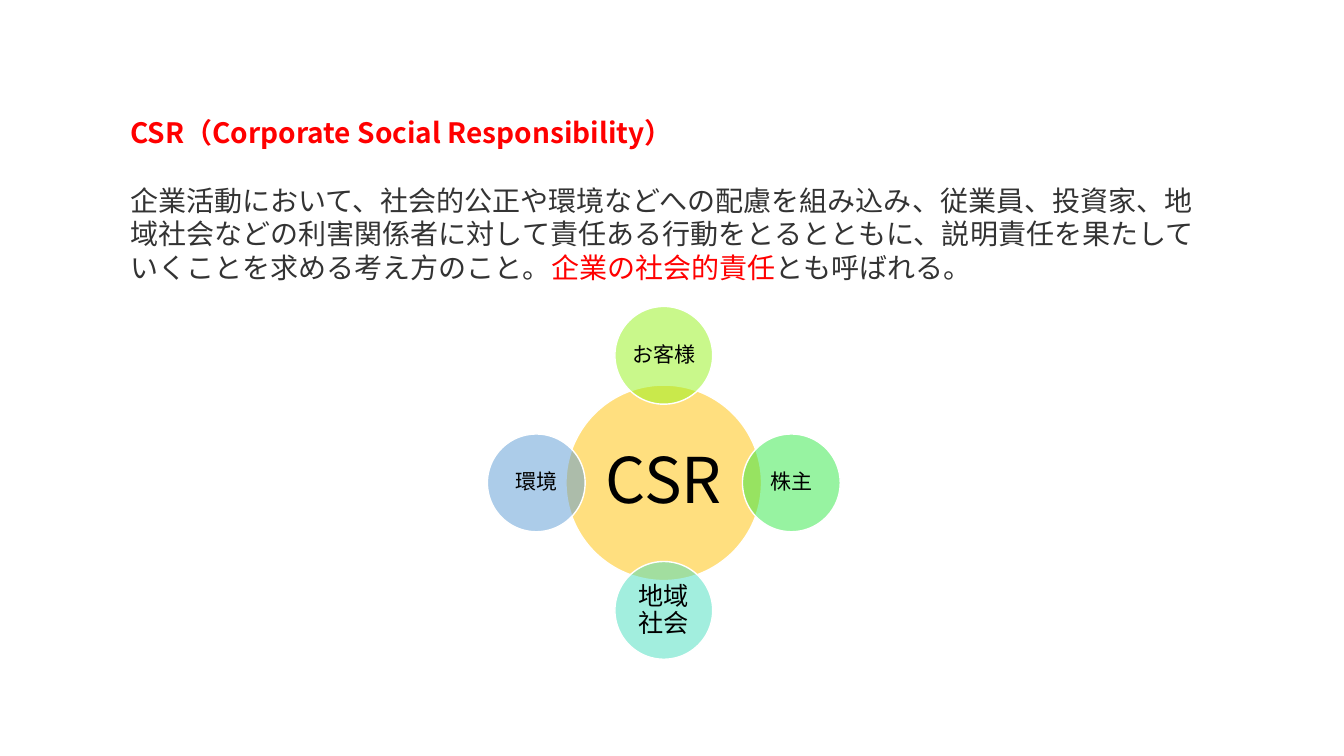
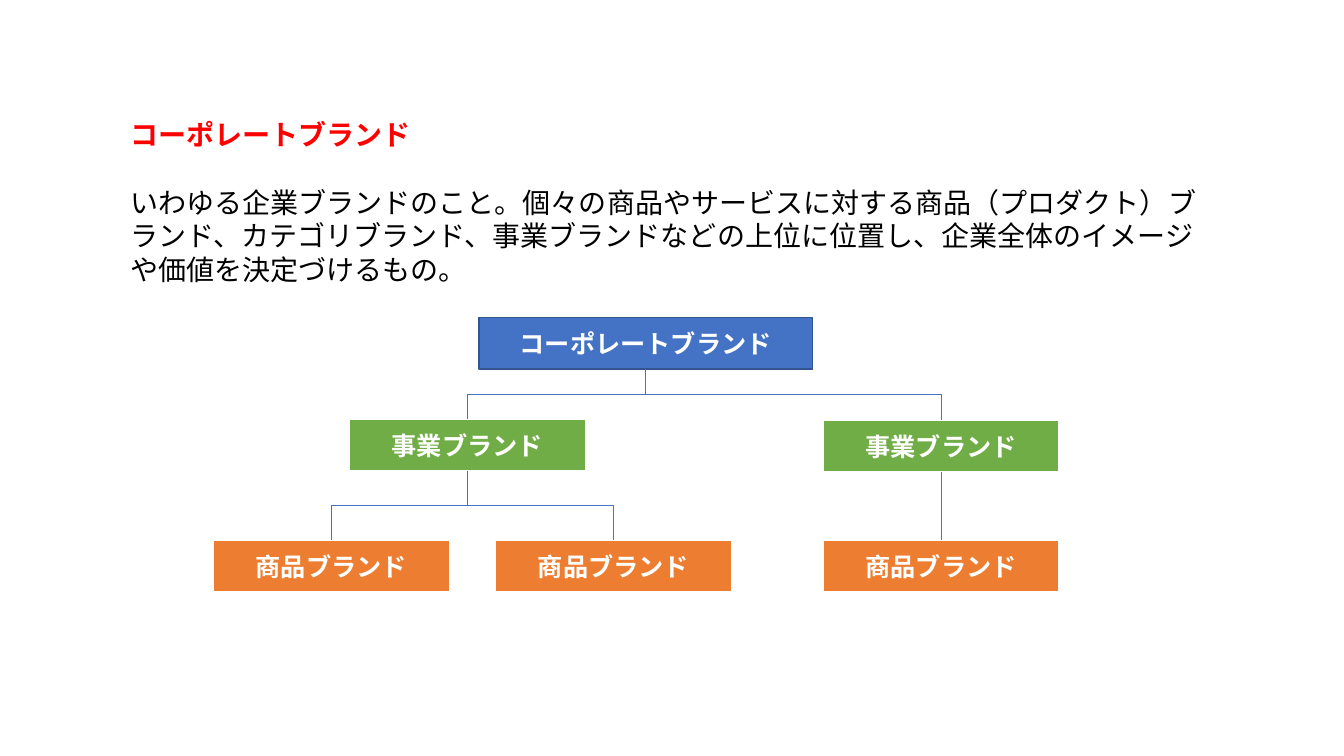
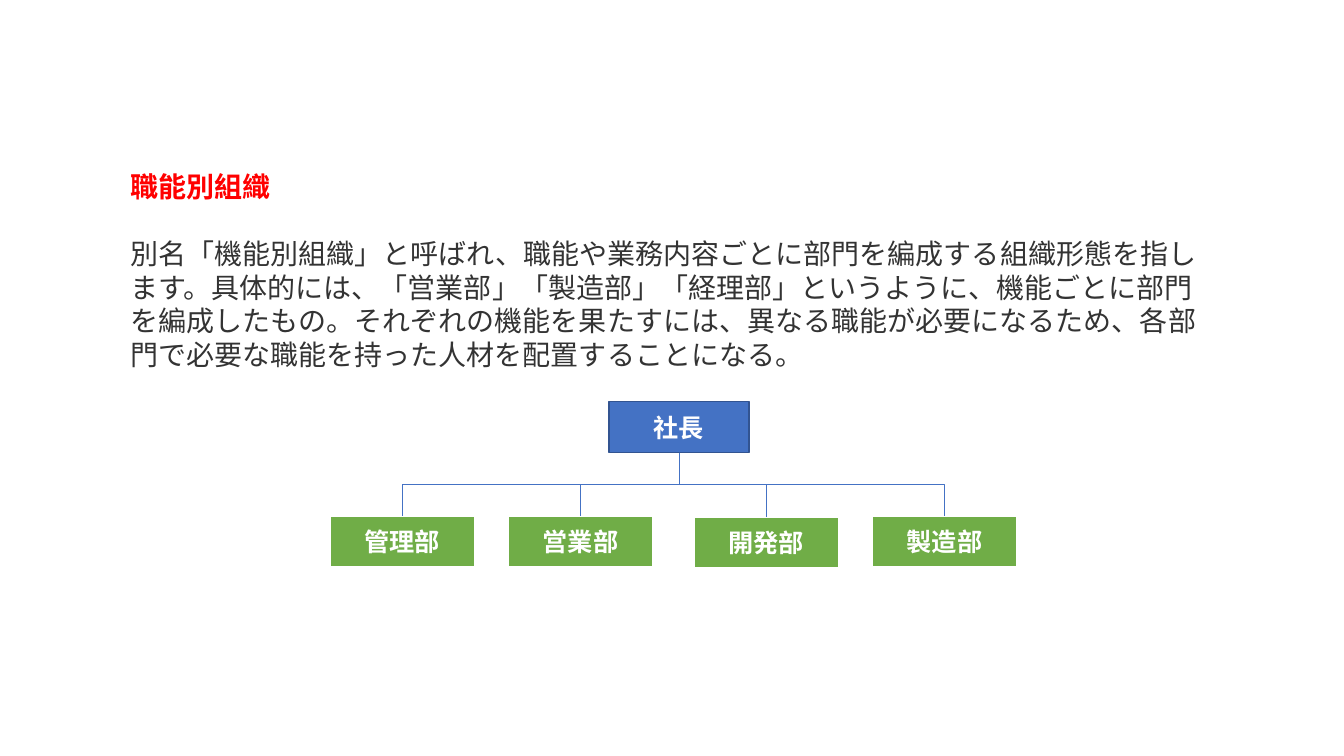
import pptx
import pptx.util
import pptx.dml.color
import pptx.enum.shapes
import pptx.enum.text
import pptx.oxml.ns
from lxml import etree

FONT = "Noto Sans CJK JP"
COLORS = {
    "key": "FF0000", "dark": "333333", "black": "000000", "white": "FFFFFF",
    "blue": "4472C4", "navy": "325491", "green": "70AD47", "orange": "ED7D31",
    "gold": "FFC000", "lime": "94F319", "leaf": "30E845", "aqua": "46DEBF", "sky": "5B9BD5",
}
RGB = {name: pptx.dml.color.RGBColor.from_string(h) for name, h in COLORS.items()}
MSO = pptx.enum.shapes.MSO_SHAPE
LINK = pptx.enum.shapes.MSO_CONNECTOR
ANCHOR = pptx.enum.text.MSO_ANCHOR
ALIGN = pptx.enum.text.PP_ALIGN
Pt = pptx.util.Pt
qn = pptx.oxml.ns.qn

prs = pptx.Presentation()
prs.slide_width = pptx.util.Inches(13.33)
prs.slide_height = pptx.util.Inches(7.5)
COL = prs.slide_width / 100
ROW = prs.slide_height / 100


def add_text(p, text, size=20, color="black", bold=False, align=ALIGN.LEFT, spacing=None):
    p.alignment = align
    p.space_before = p.space_after = Pt(0)
    p.line_spacing = spacing
    r = p.add_run()
    r.text = text
    r.font.size = Pt(size)
    r.font.bold = bold
    r.font.name = FONT
    r.font.color.rgb = RGB[color]
    etree.SubElement(r._r.rPr, qn("a:ea"), typeface=FONT)


def add_block(s, kind, x, y, w, h, fill, line, width):
    sp = s.shapes.add_shape(kind, int(x), int(y), int(w), int(h))
    sp.shadow.inherit = False
    sp.fill.solid()
    sp.fill.fore_color.rgb = RGB[fill]
    sp.line.color.rgb = RGB[line]
    sp.line.width = Pt(width)
    tf = sp.text_frame
    tf.word_wrap = True
    tf.vertical_anchor = ANCHOR.MIDDLE
    return sp


pages = [
    (14.67, 3, "CSR（Corporate Social Responsibility）", [
        ("企業活動において、社会的公正や環境などへの配慮を組み込み、従業員、投資家、地域社会などの利害関係者に対して責任ある行動をとるとともに、説明責任を果たしていくことを求める考え方のこと。", "dark"),
        ("企業の社会的責任", "key"),
        ("とも呼ばれる。", "dark")]),
    (14.93, 3, "コーポレートブランド", [
        ("いわゆる企業ブランドのこと。個々の商品やサービスに対する商品（プロダクト）ブランド、カテゴリブランド、事業ブランドなどの上位に位置し、企業全体のイメージや価値を決定づけるもの。", "black")]),
    (21.73, 4, "職能別組織", [
        ("別名「機能別組織」と呼ばれ、職能や業務内容ごとに部門を編成する組織形態を指します。具体的には、「営業部」「製造部」「経理部」というように、機能ごとに部門を編成したもの。それぞれの機能を果たすには、異なる職能が必要になるため、各部門で必要な職能を持った人材を配置することになる。", "dark")]),
]
LEADING = Pt(24)
PAD = pptx.util.Inches(0.1)
slides = []
for top, lines, title, runs in pages:
    s = prs.slides.add_slide(prs.slide_layouts[1])
    slides.append(s)
    y = int(top * ROW)
    for sp, offset, count in ((s.shapes.title, 0, 1), (s.placeholders[1], 2, lines)):
        sp.left, sp.top = int(8.93 * COL), y + offset * LEADING
        sp.width, sp.height = int(82.13 * COL), count * LEADING + PAD
        tf = sp.text_frame
        tf.word_wrap = True
        tf.auto_size = pptx.enum.text.MSO_AUTO_SIZE.NONE
        tf.vertical_anchor = ANCHOR.TOP
    add_text(s.shapes.title.text_frame.paragraphs[0], title, color="key", bold=True, spacing=LEADING)
    p = s.placeholders[1].text_frame.paragraphs[0]
    pPr = p._p.get_or_add_pPr()
    pPr.set("marL", "0")
    pPr.set("indent", "0")
    etree.SubElement(pPr, qn("a:buNone"))
    for text, color in runs:
        add_text(p, text, color=color, spacing=LEADING)

HUB = 14.55 * COL
REACH = 9.49 * COL
circles = [
    ("CSR", "gold", 0, 0, HUB, 45, 0.9),
    ("お客様", "lime", 0, -1, HUB / 2, 15, 0.9),
    ("株主", "leaf", 1, 0, HUB / 2, 15, 0.9),
    ("地域社会", "aqua", 0, 1, HUB / 2, 18, Pt(19.3)),
    ("環境", "sky", -1, 0, HUB / 2, 15, 0.9),
]
for text, fill, dx, dy, d, size, spacing in circles:
    x = 49.39 * COL + dx * REACH - d / 2
    y = 63.87 * ROW + dy * REACH - d / 2
    sp = add_block(slides[0], MSO.OVAL, x, y, d, d, fill, "white", 1)
    etree.SubElement(sp._element.spPr.find(qn("a:solidFill"))[0], qn("a:alpha"), val="50000")
    tf = sp.text_frame
    tf.margin_left = tf.margin_right = tf.margin_top = tf.margin_bottom = pptx.util.Inches(0.02)
    add_text(tf.paragraphs[0], text, size=size, align=ALIGN.CENTER, spacing=spacing)

trees = [
    (slides[1], [
        ("コーポレートブランド", "blue", 35.63, 42, 24.83, None),
        ("事業ブランド", "green", 25.95, 55.47, 17.63, 0),
        ("事業ブランド", "green", 61.2, 55.6, 17.63, 0),
        ("商品ブランド", "orange", 15.83, 71.47, 17.63, 1),
        ("商品ブランド", "orange", 36.83, 71.47, 17.63, 1),
        ("商品ブランド", "orange", 61.2, 71.47, 17.63, 2)]),
    (slides[2], [
        ("社長", "blue", 45.3, 53.07, 10.43, None),
        ("管理部", "green", 24.53, 68.27, 10.8, 0),
        ("営業部", "green", 37.8, 68.27, 10.8, 0),
        ("開発部", "green", 51.6, 68.4, 10.8, 0),
        ("製造部", "green", 64.88, 68.27, 10.8, 0)]),
]
for s, nodes in trees:
    boxes = []
    for text, fill, x, y, w, parent in nodes:
        line, width = ("navy", 1) if parent is None else ("white", 1.5)
        sp = add_block(s, MSO.FLOWCHART_PROCESS, x * COL, y * ROW, w * COL, 6.8 * ROW, fill, line, width)
        add_text(sp.text_frame.paragraphs[0], text, size=18, color="white", bold=True, align=ALIGN.CENTER)
        boxes.append(sp)
    for node, child in zip(nodes, boxes):
        if node[5] is None:
            continue
        parent = boxes[node[5]]
        x1, y1 = parent.left + parent.width // 2, parent.top + parent.height
        x2, y2 = child.left + child.width // 2, child.top
        dx, dy = x2 - x1, y2 - y1
        c = s.shapes.add_connector(LINK.ELBOW if dx else LINK.STRAIGHT, x1, y1, x2, y2)
        c.begin_connect(parent, 2)
        c.end_connect(child, 0)
        if dx:
            c.left, c.top = (x1 + x2 - dy) // 2, (y1 + y2 - abs(dx)) // 2
            c.width, c.height = dy, abs(dx)
            xfrm = c._element.spPr.find(qn("a:xfrm"))
            xfrm.set("rot", "16200000" if dx > 0 else "5400000")
            xfrm.set("flipH", "1" if dx > 0 else "0")
        c.line.color.rgb = RGB["blue"]
        c.line.width = Pt(0.5)
        etree.SubElement(c._element.spPr, qn("a:effectLst"))

prs.save("out.pptx")
